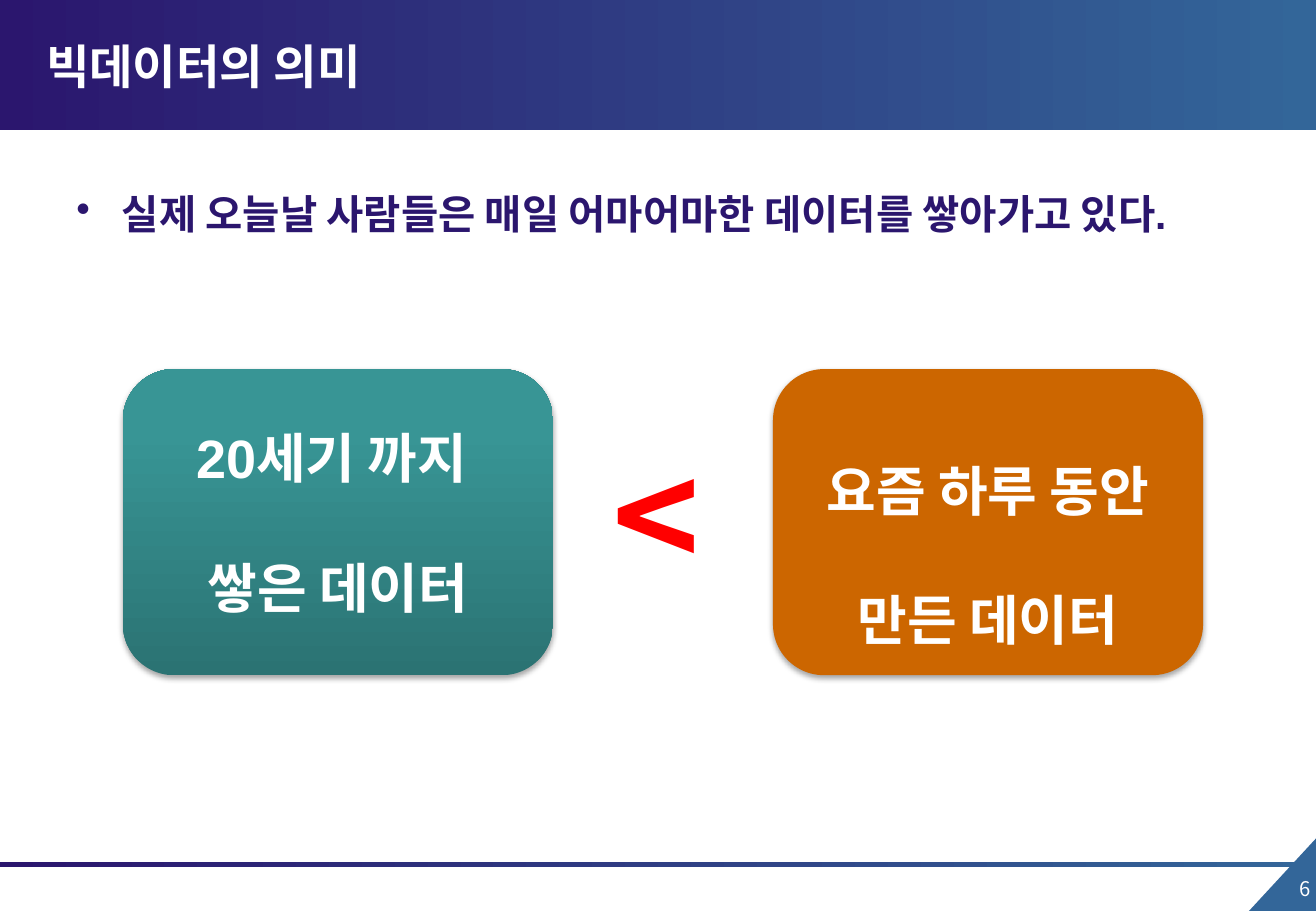
from copy import deepcopy

from lxml.etree import SubElement
from pptx import Presentation
from pptx.dml.color import RGBColor
from pptx.enum.shapes import MSO_SHAPE
from pptx.enum.text import MSO_ANCHOR, MSO_AUTO_SIZE, PP_ALIGN
from pptx.oxml.ns import qn
from pptx.util import Cm, Pt

NAVY = RGBColor(0x2B, 0x16, 0x6E)
BLUE = RGBColor(0x33, 0x66, 0x99)
WHITE = RGBColor(0xFF, 0xFF, 0xFF)
RED = RGBColor(0xFF, 0x00, 0x00)
ORANGE = RGBColor(0xCC, 0x66, 0x00)
TEAL_DARK = RGBColor(0x2B, 0x73, 0x73)
TEAL = RGBColor(0x38, 0x95, 0x95)
TEAL_LIGHT = RGBColor(0x37, 0x98, 0x98)
BAND = [(0, NAVY), (1, BLUE)]
TEAL_BLEND = [(0, TEAL_DARK), (0.8, TEAL), (1, TEAL_LIGHT)]
ARIAL = "Arial"
NOTO = "Noto Sans CJK KR"
WIDTH, HEIGHT = 27.51, 19.05


def paint(sp, fill, angle=0):
    if isinstance(fill, RGBColor):
        sp.fill.solid()
        sp.fill.fore_color.rgb = fill
        return
    sp.fill.gradient()
    sp.fill.gradient_angle = angle
    stops = sp._element.spPr.find(".//" + qn("a:gsLst"))
    while len(stops) < len(fill):
        stops.append(deepcopy(stops[-1]))
    for stop, (position, color) in zip(sp.fill.gradient_stops, fill):
        stop.position = position
        stop.color.rgb = color


def add_block(s, kind, box, fill, angle=0):
    sp = s.shapes.add_shape(kind, *map(Cm, box))
    paint(sp, fill, angle)
    sp.line.fill.background()
    sp.shadow.inherit = False
    return sp


def add_label(s, box, text, size, color, font, bold=True, wrap=False):
    sp = s.shapes.add_textbox(*map(Cm, box))
    tf = sp.text_frame
    tf.word_wrap = wrap
    if not wrap:
        tf.auto_size = MSO_AUTO_SIZE.SHAPE_TO_FIT_TEXT
    p = tf.paragraphs[0]
    p.text = text
    style(p, size, color, font, bold)
    return p


def style(p, size, color, font, bold=True):
    p.font.size = Pt(size)
    p.font.bold = bold
    p.font.color.rgb = color
    p.font.name = font
    east_asian = SubElement(p._p.pPr.find(qn("a:defRPr")), qn("a:ea"))
    east_asian.set("typeface", NOTO)


def add_header(s, x, y, w, h, text):
    add_block(s, MSO_SHAPE.RECTANGLE, (x, y, w, h), BAND)
    title = s.shapes.title
    s.shapes._spTree.append(title._element)
    title.left, title.top = Cm(x + 0.71), Cm(y + 0.58)
    title.width, title.height = Cm(20.62), Cm(1.58)
    tf = title.text_frame
    tf.text = text
    tf.vertical_anchor = MSO_ANCHOR.MIDDLE
    p = tf.paragraphs[0]
    p.alignment = PP_ALIGN.LEFT
    style(p, 28, WHITE, NOTO)


def add_footer(s, x, y, w, number):
    add_block(s, MSO_SHAPE.RECTANGLE, (x, y + 0.48, w, 0.1), BAND)
    corner = add_block(s, MSO_SHAPE.RIGHT_TRIANGLE,
                       (x + w - 1.47, y, 1.57, 1.45), BLUE)
    corner.rotation = 270
    p = add_label(s, (x + w - 1.42, y + 0.64, 1.55, 1.04), number, 12,
                  WHITE, NOTO, bold=False, wrap=True)
    p.alignment = PP_ALIGN.RIGHT


def add_statement(s, box, text):
    p = add_label(s, box, text, 24, NAVY, ARIAL)
    p.line_spacing = 1.5
    pPr = p._p.get_or_add_pPr()
    pPr.set("marL", str(Cm(0.95)))
    pPr.set("indent", str(-Cm(0.95)))
    bullet = pPr.makeelement(qn("a:buChar"), {"char": "•"})
    pPr.find(qn("a:defRPr")).addprevious(bullet)


def add_card(s, box, fill, lines):
    sp = add_block(s, MSO_SHAPE.ROUNDED_RECTANGLE, box, fill, 90)
    effects = sp._element.spPr.find(qn("a:effectLst"))
    shadow = SubElement(effects, qn("a:outerShdw"), blurRad=str(Pt(3.1)),
                        dist=str(Pt(1.8)), dir="5400000", rotWithShape="0")
    color = SubElement(shadow, qn("a:srgbClr"), val="000000")
    SubElement(color, qn("a:alpha"), val="35000")
    tf = sp.text_frame
    tf.word_wrap = True
    tf.vertical_anchor = MSO_ANCHOR.MIDDLE
    tf.text = "\n".join(text for text, _ in lines)
    for p, (_, spacing) in zip(tf.paragraphs, lines):
        p.alignment = PP_ALIGN.CENTER
        p.line_spacing = spacing
        style(p, 32, WHITE, ARIAL)


def add_comparison(s, x, y, w, h):
    card_w = 8.99
    add_card(s, (x, y, card_w, h), TEAL_BLEND,
             [("20세기 까지 ", 1.0), ("쌓은 데이터", 2.0)])
    add_card(s, (x + w - card_w, y, card_w, h), ORANGE,
             [("요즘 하루 동안", 2.0), ("만든 데이터", 2.0)])
    add_label(s, (x + 9.98, y + 1.02, 2.44, 4.01), "<", 88, RED, NOTO)


def main():
    prs = Presentation()
    prs.slide_width, prs.slide_height = Cm(WIDTH), Cm(HEIGHT)
    s = prs.slides.add_slide(prs.slide_layouts[5])
    add_footer(s, 0, 17.55, WIDTH, "6")
    add_header(s, 0, 0, WIDTH, 2.72, "빅데이터의 의미")
    add_statement(s, (1.35, 3.33, 26.04, 1.6),
                  "실제 오늘날 사람들은 매일 어마어마한 데이터를 쌓아가고 있다.")
    add_comparison(s, 2.57, 7.72, 22.58, 6.4)
    prs.save("out.pptx")


if __name__ == "__main__":
    main()
